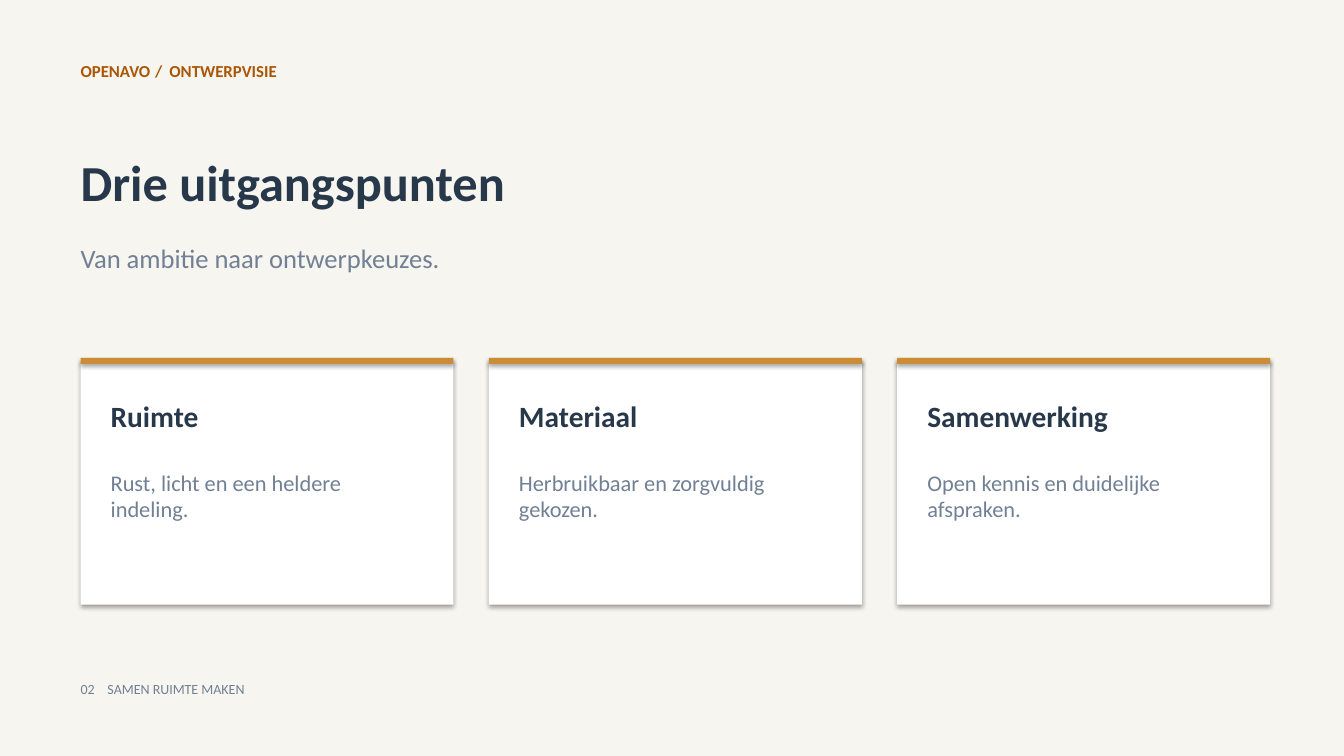
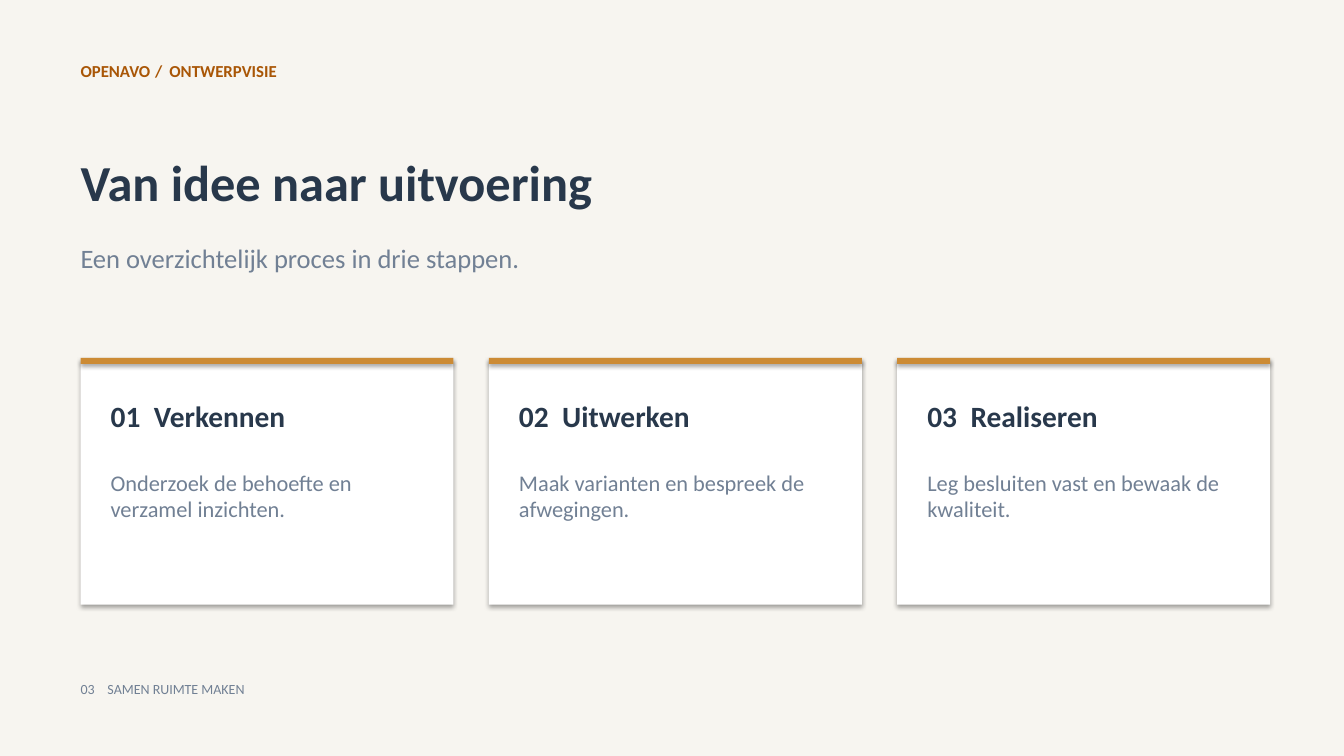
from lxml import etree
from pptx import Presentation
from pptx.dml.color import RGBColor
from pptx.enum import shapes, text
from pptx.oxml.ns import qn
from pptx.util import Cm, Pt

PAPER = RGBColor(0xF7, 0xF5, 0xF0)
WHITE = RGBColor(0xFF, 0xFF, 0xFF)
NAVY = RGBColor(0x28, 0x38, 0x4B)
SLATE = RGBColor(0x71, 0x80, 0x94)
RUST = RGBColor(0xA9, 0x56, 0x06)
OCHRE = RGBColor(0xCC, 0x8B, 0x35)
FONT = "Calibri"

MARGIN = Cm(2.03)
WIDE = Cm(27.94)
CARD_TOP, CARD_WIDTH, CARD_HEIGHT = Cm(9.02), Cm(9.4), Cm(6.22)
CARD_GAP, CARD_PAD = Cm(0.89), Cm(0.76)

SLIDES = [
    ("02", "Drie uitgangspunten", "Van ambitie naar ontwerpkeuzes.", [
        ("Ruimte", "Rust, licht en een heldere indeling."),
        ("Materiaal", "Herbruikbaar en zorgvuldig gekozen."),
        ("Samenwerking", "Open kennis en duidelijke afspraken."),
    ]),
    ("03", "Van idee naar uitvoering", "Een overzichtelijk proces in drie stappen.", [
        ("01\tVerkennen", "Onderzoek de behoefte en verzamel inzichten."),
        ("02\tUitwerken", "Maak varianten en bespreek de afwegingen."),
        ("03\tRealiseren", "Leg besluiten vast en bewaak de kwaliteit."),
    ]),
]


def write(holder, words, size, color, bold=False, tabs=()):
    """Fill a text box or placeholder with one left-aligned paragraph."""
    frame = holder.text_frame
    frame.margin_left = frame.margin_top = 0
    frame.margin_right, frame.margin_bottom = Cm(0.25), Cm(0.13)
    frame.word_wrap = True
    frame.auto_size = text.MSO_AUTO_SIZE.SHAPE_TO_FIT_TEXT
    frame.vertical_anchor = text.MSO_ANCHOR.TOP
    frame.text = words
    paragraph = frame.paragraphs[0]
    paragraph.alignment = text.PP_ALIGN.LEFT
    if tabs:
        stops = etree.SubElement(paragraph._p.get_or_add_pPr(), qn("a:tabLst"))
        for position in tabs:
            etree.SubElement(stops, qn("a:tab"), pos=str(position), algn="l")
    font = paragraph.font
    font.name, font.size, font.bold = FONT, Pt(size), bold
    font.color.rgb = color


def add_text(slide, left, top, width, height, words, size, color, **style):
    write(slide.shapes.add_textbox(left, top, width, height), words, size, color, **style)


def add_panel(slide, left, top, width, height, color):
    """Add a borderless rectangle that keeps the theme's soft shadow."""
    panel = slide.shapes.add_shape(shapes.MSO_SHAPE.RECTANGLE, left, top, width, height)
    panel.fill.solid()
    panel.fill.fore_color.rgb = color
    panel.line.fill.background()


def add_heading(slide, title, subtitle):
    add_text(slide, MARGIN, Cm(1.52), Cm(25.4), Cm(0.64), "OPENAVO\t/\tONTWERPVISIE",
             12, RUST, bold=True, tabs=(Cm(1.88), Cm(2.24)))
    heading = slide.shapes.title
    heading.left, heading.top = MARGIN, Cm(3.81)
    heading.width, heading.height = WIDE, Cm(1.65)
    write(heading, title, 36, NAVY, bold=True)
    add_text(slide, MARGIN, Cm(6.1), WIDE, Cm(0.94), subtitle, 19, SLATE)


def add_card(slide, left, top, width, height, name, description):
    add_panel(slide, left, top, width, height, WHITE)
    add_panel(slide, left, top, width, Cm(0.15), OCHRE)
    inner_left, inner_width = left + CARD_PAD, width - 2 * CARD_PAD
    add_text(slide, inner_left, top + Cm(1.02), inner_width, Cm(1.02), name,
             21, NAVY, bold=True, tabs=(Cm(1.09),) if "\t" in name else ())
    add_text(slide, inner_left, top + Cm(2.79), inner_width, Cm(1.47), description, 16, SLATE)


def add_footer(slide, number):
    add_text(slide, MARGIN, Cm(17.15), Cm(25.4), Cm(0.56), f"{number}\tSAMEN RUIMTE MAKEN",
             10, SLATE, tabs=(Cm(0.68),))


def add_card_slide(deck, number, title, subtitle, cards):
    slide = deck.slides.add_slide(deck.slide_layouts.get_by_name("Title Only"))
    add_heading(slide, title, subtitle)
    for index, (name, description) in enumerate(cards):
        left = MARGIN + index * (CARD_WIDTH + CARD_GAP)
        add_card(slide, left, CARD_TOP, CARD_WIDTH, CARD_HEIGHT, name, description)
    add_footer(slide, number)


def main():
    deck = Presentation()
    deck.slide_width, deck.slide_height = Cm(33.87), Cm(19.05)
    background = deck.slide_master.background.fill
    background.solid()
    background.fore_color.rgb = PAPER
    for content in SLIDES:
        add_card_slide(deck, *content)
    deck.save("out.pptx")


if __name__ == "__main__":
    main()
